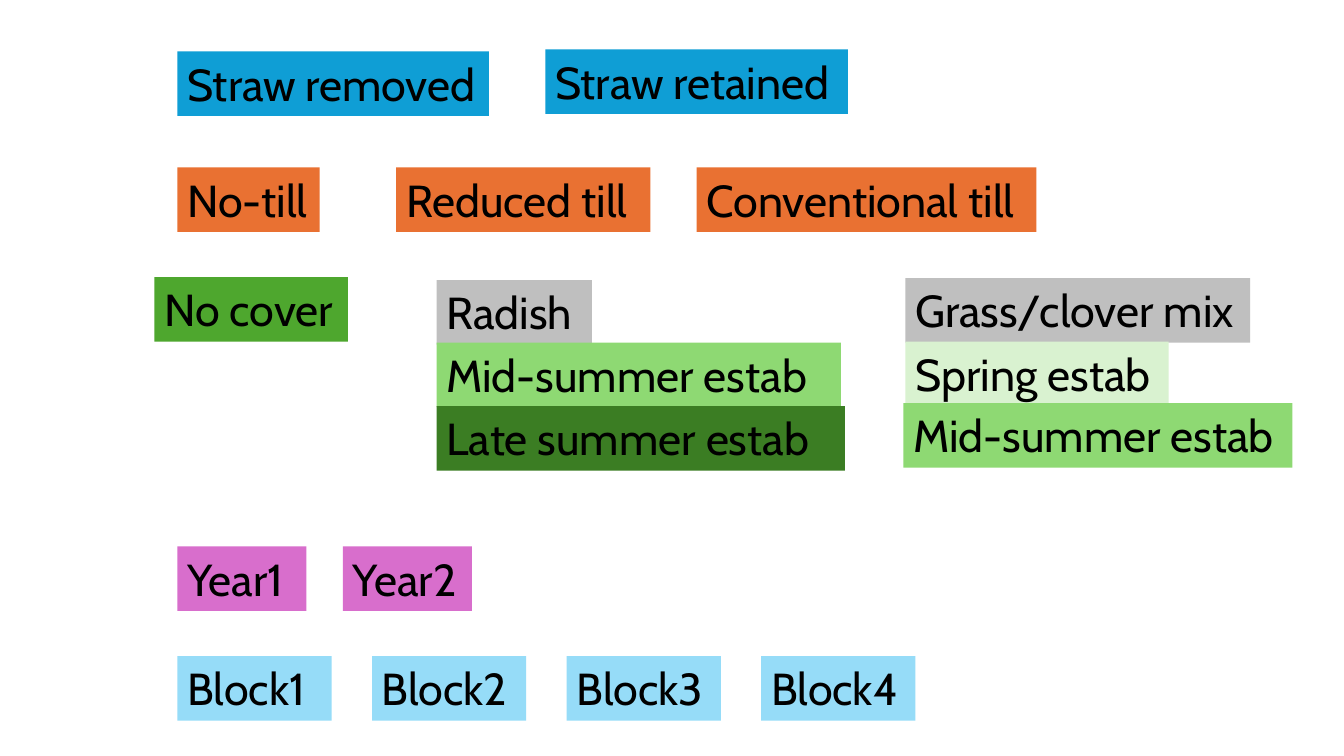
from pptx import Presentation
from pptx.dml.color import RGBColor
from pptx.enum.text import MSO_ANCHOR, MSO_AUTO_SIZE, PP_ALIGN
from pptx.util import Emu, Pt

PX = 9144
LABEL_HEIGHT = 64
BLACK = RGBColor(0x00, 0x00, 0x00)
BLUE = RGBColor(0x0F, 0x9E, 0xD5)
ORANGE = RGBColor(0xE9, 0x71, 0x32)
GREEN = RGBColor(0x4E, 0xA7, 0x2E)
GREY = RGBColor(0xBF, 0xBF, 0xBF)
PALE_GREEN = RGBColor(0xD9, 0xF2, 0xD0)
LIGHT_GREEN = RGBColor(0x8E, 0xD9, 0x73)
DARK_GREEN = RGBColor(0x3B, 0x7D, 0x23)
PINK = RGBColor(0xD8, 0x6E, 0xCC)
SKY = RGBColor(0x96, 0xDC, 0xF8)

FRAME_FORMAT = {
    "word_wrap": True,
    "auto_size": MSO_AUTO_SIZE.NONE,
    "vertical_anchor": MSO_ANCHOR.TOP,
    "margin_left": Emu(10 * PX),
    "margin_right": Emu(0),
    "margin_top": Emu(5 * PX),
    "margin_bottom": Emu(5 * PX),
}
FONT_FORMAT = {"name": "Cabin", "size": Pt(32)}


def apply_format(target, values):
    for name, value in values.items():
        setattr(target, name, value)


def add_label(page, left, top, width, colour, text):
    box = page.shapes.add_textbox(
        *(Emu(length * PX) for length in (left, top, width, LABEL_HEIGHT))
    )
    box.fill.solid()
    box.fill.fore_color.rgb = colour
    apply_format(box.text_frame, FRAME_FORMAT)
    para = box.text_frame.paragraphs[0]
    para.alignment = PP_ALIGN.LEFT
    span = para.add_run()
    span.text = text
    apply_format(span.font, FONT_FORMAT)
    span.font.color.rgb = BLACK


def add_factor_levels(page, left, top, colour, levels):
    for across, down, width, text in levels:
        add_label(page, left + across, top + down, width, colour, text)


def add_numbered_levels(page, left, top, width, pitch, colour, word, count):
    for index in range(count):
        add_label(page, left + index * pitch, top, width, colour, f"{word}{index + 1}")


def add_cover_crop(page, left, top, levels):
    for across, down, width, colour, text in levels:
        add_label(page, left + across, top + down, width, colour, text)


def build_treatments(page):
    add_factor_levels(page, 176, 49, BLUE, [
        (0, 2, 309, "Straw removed"),
        (365, 0, 300, "Straw retained"),
    ])
    add_factor_levels(page, 176, 166, ORANGE, [
        (0, 0, 141, "No-till"),
        (217, 0, 252, "Reduced till"),
        (515, 0, 337, "Conventional till"),
    ])
    add_cover_crop(page, 153, 275, [(0, 0, 192, GREEN, "No cover")])
    add_cover_crop(page, 433, 278, [
        (0, 0, 154, GREY, "Radish"),
        (0, 62, 401, LIGHT_GREEN, "Mid-summer estab"),
        (0, 125, 405, DARK_GREEN, "Late summer estab"),
    ])
    add_cover_crop(page, 898, 276, [
        (0, 0, 342, GREY, "Grass/clover mix"),
        (0, 63, 261, PALE_GREEN, "Spring estab"),
        (-2, 124, 386, LIGHT_GREEN, "Mid-summer estab"),
    ])
    add_numbered_levels(page, 176, 542, 128, 164, PINK, "Year", 2)
    add_numbered_levels(page, 176, 651, 153, 193, SKY, "Block", 4)


def main():
    deck = Presentation()
    apply_format(deck, {"slide_width": Emu(1333 * PX), "slide_height": Emu(750 * PX)})
    page = deck.slides.add_slide(deck.slide_layouts[6])
    build_treatments(page)
    deck.save("out.pptx")


if __name__ == "__main__":
    main()
